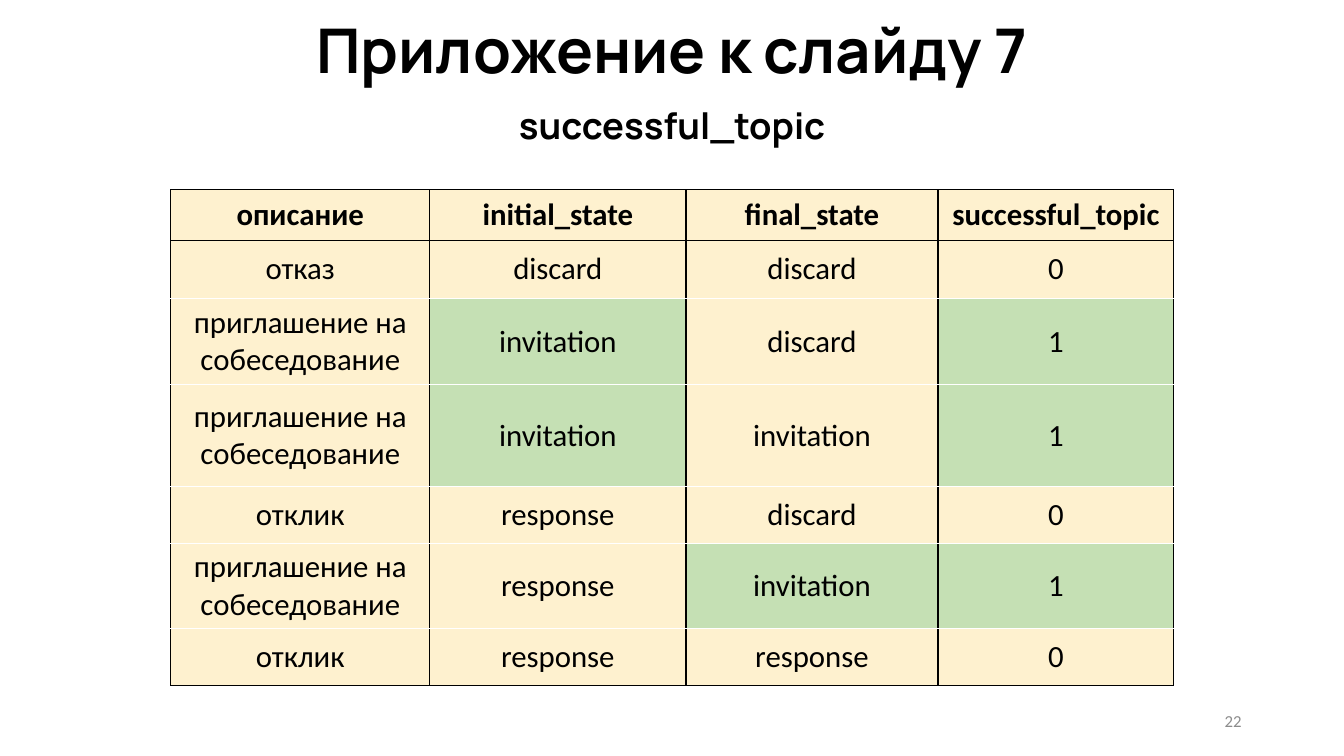
"""Build the appendix slide with the successful_topic table."""
from pptx import Presentation
from pptx.dml.color import RGBColor
from pptx.enum.text import MSO_ANCHOR, PP_ALIGN
from pptx.oxml import parse_xml
from pptx.oxml.ns import nsdecls
from pptx.util import Pt

COLORS = {"black": "000000", "white": "FFFFFF", "grey": "8C8C8C",
          "cream": "FEF1CF", "green": "C5E0B4"}
COLUMN_WIDTHS = [185, 183, 180, 168.5]
ROW_HEIGHTS = [36.5, 41, 62, 72.5, 40.5, 61, 40.5]
ROWS = [
    ["описание", "initial_state", "final_state", "successful_topic"],
    ["отказ", "discard", "discard", "0"],
    ["приглашение на собеседование", "invitation", "discard", "1"],
    ["приглашение на собеседование", "invitation", "invitation", "1"],
    ["отклик", "response", "discard", "0"],
    ["приглашение на собеседование", "response", "invitation", "1"],
    ["отклик", "response", "response", "0"],
]


def write(tf, text, font, size, color, bold=False, align=PP_ALIGN.CENTER):
    tf.text = text
    p = tf.paragraphs[0]
    p.alignment = align
    p.font.name = font
    p.font.size = Pt(size)
    p.font.bold = bold
    p.font.color.rgb = RGBColor.from_string(COLORS[color])
    return p


def add_border(cell, side, color, width):
    cell._tc.get_or_add_tcPr().append(parse_xml(
        f'<a:{side} {nsdecls("a")} w="{Pt(width)}"><a:solidFill>'
        f'<a:srgbClr val="{COLORS[color]}"/></a:solidFill></a:{side}>'))


prs = Presentation()
prs.slide_width, prs.slide_height = Pt(960), Pt(540)
s = prs.slides.add_slide(prs.slide_layouts[5])

title = s.shapes.title
title.left, title.top, title.width, title.height = Pt(66), Pt(8), Pt(828), Pt(61)
title.text_frame.vertical_anchor = MSO_ANCHOR.MIDDLE
p = write(title.text_frame, "Приложение к слайду 7", "Manrope", 44, "black", True)
p.line_spacing = 0.9

subtitle = s.shapes.add_textbox(Pt(296), Pt(70), Pt(368.5), Pt(39))
subtitle.text_frame.word_wrap = True
write(subtitle.text_frame, "successful_topic", "Manrope", 26, "black", True)

number = s.shapes.add_textbox(Pt(678), Pt(500.5), Pt(216), Pt(28.5))
number.text_frame.word_wrap = True
number.text_frame.vertical_anchor = MSO_ANCHOR.MIDDLE
write(number.text_frame, "22", "Calibri", 12, "grey", align=PP_ALIGN.RIGHT)

table = s.shapes.add_table(len(ROWS), len(COLUMN_WIDTHS), Pt(122), Pt(135.5),
                           Pt(sum(COLUMN_WIDTHS)), Pt(sum(ROW_HEIGHTS))).table
table.horz_banding = False
for column, width in zip(table.columns, COLUMN_WIDTHS):
    column.width = Pt(width)
for row, height in zip(table.rows, ROW_HEIGHTS):
    row.height = Pt(height)

last = len(ROWS) - 1
for i, values in enumerate(ROWS):
    for j, text in enumerate(values):
        cell = table.cell(i, j)
        cell.vertical_anchor = MSO_ANCHOR.MIDDLE
        cell.margin_left = cell.margin_right = Pt(5)
        write(cell.text_frame, text, "Calibri", 22, "black", bold=i == 0)
        for side in ("lnL", "lnR"):
            add_border(cell, side, "black", 1)
        for side, dark in (("lnT", i < 2), ("lnB", i in (0, last))):
            add_border(cell, side, *(("black", 1) if dark else ("white", 0.75)))
        first_invitation = text == "invitation" and text not in values[:j]
        fill = "green" if text == "1" or first_invitation else "cream"
        cell.fill.solid()
        cell.fill.fore_color.rgb = RGBColor.from_string(COLORS[fill])

prs.save("out.pptx")
